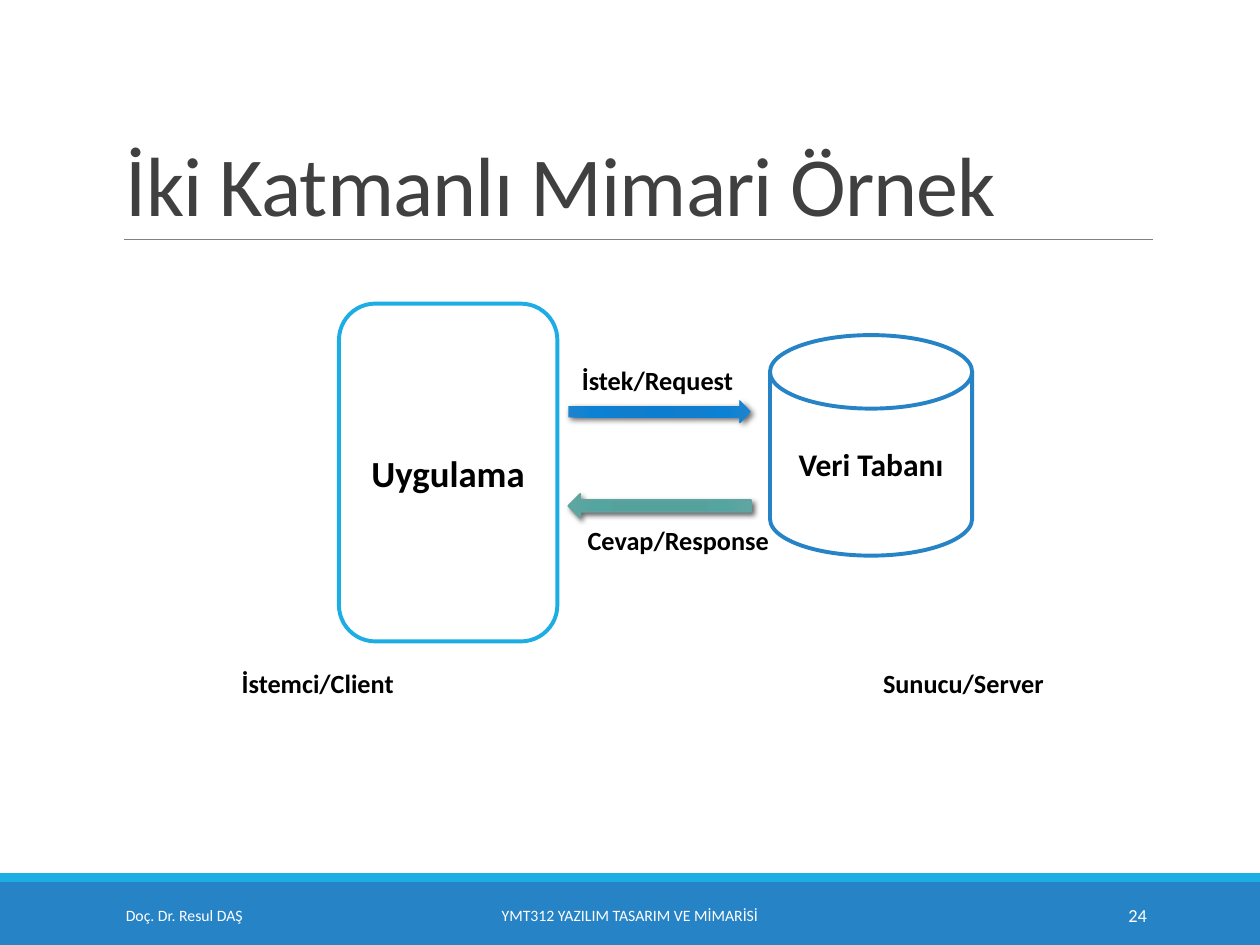
from lxml import etree
from pptx import Presentation
from pptx.dml.color import RGBColor
from pptx.enum.shapes import MSO_CONNECTOR, MSO_SHAPE as Shape
from pptx.enum.text import MSO_ANCHOR as Anchor, PP_ALIGN as Align
from pptx.oxml import parse_xml
from pptx.oxml.ns import nsdecls, qn
from pptx.util import Pt

COLORS = {
    "white": "FFFFFF", "black": "000000", "title": "404040", "rule": "808080",
    "blue": "2683C6", "cyan": "1CADE4", "response_edge": "62A39F",
}

# Boxes are (left, top, width, height) in points.
BANDS = [("blue", (0, 504, 720, 36)), ("cyan", (0, 499, 720, 5))]
RULE = (70.6, 136.7, 658.8, 136.7)

TITLE = ("İki Katmanlı Mimari Örnek", (64.8, 22.3, 594, 114.5))
FOOTER_TOP, FOOTER_HEIGHT = 508.5, 28.8
FOOTERS = [  # text, left, width, size, alignment
    ("Doç. Dr. Resul DAŞ", 64.8, 146, 9, Align.LEFT),
    ("YMT312 YAZILIM TASARIM VE MİMARİSİ", 217.4, 285, 9, Align.CENTER),
    ("24", 584.6, 77.8, 10.5, Align.RIGHT),
]
TIERS = [  # text, preset, box, line colour, size
    ("Uygulama", Shape.ROUNDED_RECTANGLE, (193.7, 173.5, 124.8, 193), "cyan", 21),
    ("Veri Tabanı", Shape.FLOWCHART_MAGNETIC_DISK, (440, 191.5, 115.5, 126), "blue", 18),
]
LABELS = [  # text, left, top, width
    ("İstemci/Client", 131, 378, 102.2),
    ("Sunucu/Server", 497.5, 378, 107.3),
    ("İstek/Request", 325.4, 204.5, 102.2),
    ("Cevap/Response", 328.7, 296, 119.5),
]
LABEL_HEIGHT = 25.2
STOPS = (0, 34, 70, 100)
ARROWS = [  # box, gradient colours, edge colour, points left, shadow blur
    ((324.8, 228.8, 104.4, 13), ("0D7ECF", "117ECD", "0D81D4", "1E84CE"), None, False, 3.5),
    ((324.8, 282.3, 104.4, 13.6), ("52A19C", "55A19C", "54A5A0", "5FA6A2"),
     "response_edge", True, 3),
]


def rgb(name):
    return RGBColor.from_string(COLORS[name])


def write(shape, text, size, color, bold=False, align=Align.LEFT,
          anchor=Anchor.MIDDLE, wrap=True):
    frame = shape.text_frame
    frame.word_wrap = wrap
    frame.vertical_anchor = anchor
    paragraph = frame.paragraphs[0]
    paragraph.alignment = align
    run = paragraph.add_run()
    run.text = text
    font_format = {"name": "Calibri", "size": Pt(size), "bold": bold}
    for attribute, value in font_format.items():
        setattr(run.font, attribute, value)
    run.font.color.rgb = rgb(color)
    return paragraph


def add_text(slide, box, *args, **text_format):
    textbox = slide.shapes.add_textbox(*map(Pt, box))
    return write(textbox, *args, **text_format)


def add_shape(slide, preset, box, fill=None, edge=None, width=1):
    shape = slide.shapes.add_shape(preset, *map(Pt, box))
    shape.shadow.inherit = False
    if fill:
        shape.fill.solid()
        shape.fill.fore_color.rgb = rgb(fill)
    if edge:
        shape.line.color.rgb = rgb(edge)
        shape.line.width = Pt(width)
    else:
        shape.line.fill.background()
    return shape


def add_radial_fill(shape, colors):
    shape.fill.gradient()
    stops = "".join(
        f'<a:gs pos="{position * 1000}"><a:srgbClr val="{color}"/></a:gs>'
        for position, color in zip(STOPS, colors))
    properties = shape.element.spPr
    properties.replace(properties.find(qn("a:gradFill")), parse_xml(
        f'<a:gradFill {nsdecls("a")} rotWithShape="1"><a:gsLst>{stops}</a:gsLst>'
        '<a:path path="circle"><a:fillToRect l="100000" t="100000" r="100000" b="100000"/>'
        '</a:path></a:gradFill>'))


def add_drop_shadow(shape, blur):
    effects = shape.element.spPr.find(qn("a:effectLst"))
    effects.append(parse_xml(
        f'<a:outerShdw {nsdecls("a")} blurRad="{Pt(blur)}" dist="{Pt(2)}" dir="2700000" '
        f'algn="tl" rotWithShape="0"><a:srgbClr val="{COLORS["black"]}">'
        '<a:alpha val="60000"/></a:srgbClr></a:outerShdw>'))


def main():
    prs = Presentation()
    prs.slide_width, prs.slide_height = Pt(720), Pt(540)
    slide = prs.slides.add_slide(prs.slide_layouts[6])

    for color, box in BANDS:
        add_shape(slide, Shape.RECTANGLE, box, fill=color)
    rule = slide.shapes.add_connector(MSO_CONNECTOR.STRAIGHT, *map(Pt, RULE))
    rule.line.color.rgb = rgb("rule")
    rule.line.width = Pt(0.5)
    etree.SubElement(rule.element.spPr, qn("a:effectLst"))

    title, title_box = TITLE
    heading = add_text(slide, title_box, title, 48, "title", anchor=Anchor.BOTTOM)
    heading.line_spacing = 0.85
    heading.runs[0].font._element.set("spc", "-50")

    for text, left, width, size, align in FOOTERS:
        add_text(slide, (left, FOOTER_TOP, width, FOOTER_HEIGHT), text, size, "white",
                 align=align)

    for text, preset, box, edge, size in TIERS:
        tier = add_shape(slide, preset, box, "white", edge, 2.25)
        write(tier, text, size, "black", bold=True, align=Align.CENTER)

    for box, colors, edge, points_left, blur in ARROWS:
        arrow = add_shape(slide, Shape.RIGHT_ARROW, box, edge=edge)
        add_radial_fill(arrow, colors)
        add_drop_shadow(arrow, blur)
        if points_left:
            arrow.element.spPr.xfrm.set("flipH", "1")

    for text, left, top, width in LABELS:
        add_text(slide, (left, top, width, LABEL_HEIGHT), text, 15, "black", bold=True,
                 anchor=Anchor.TOP, wrap=False)

    prs.save("out.pptx")


if __name__ == "__main__":
    main()
